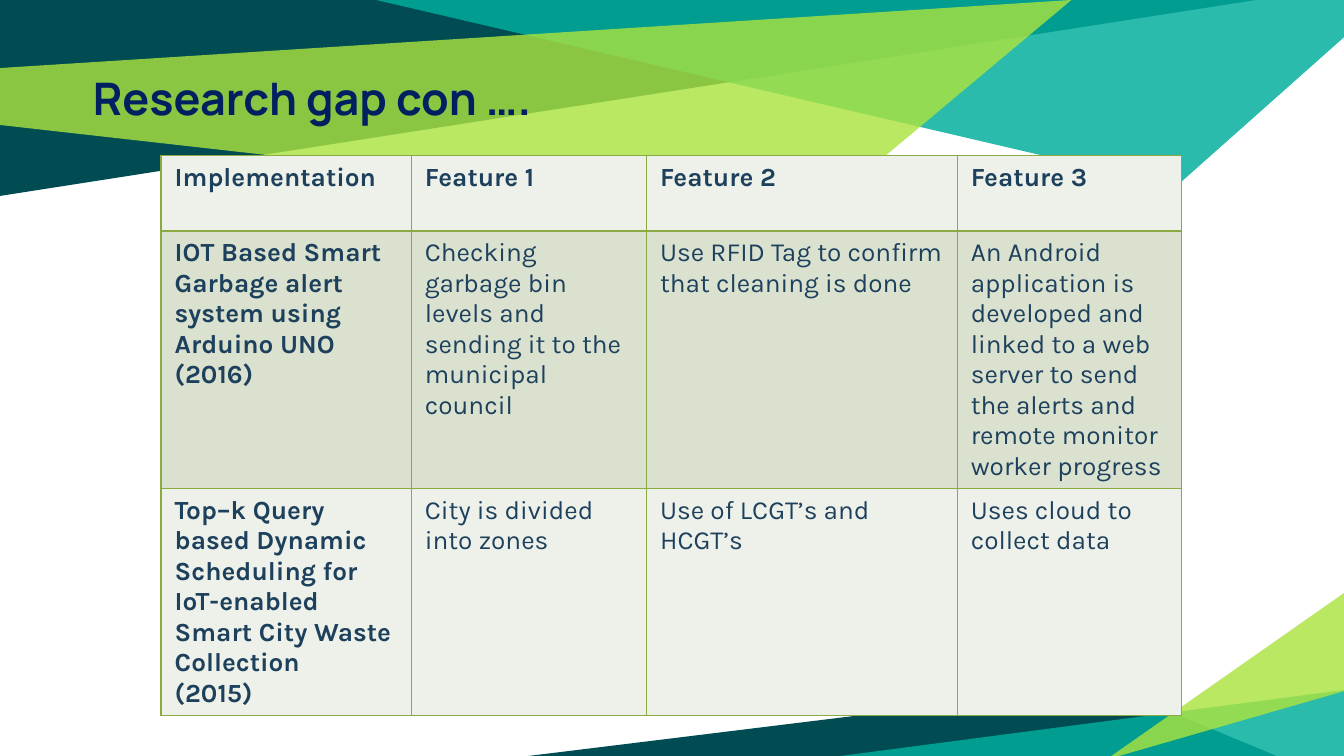
from lxml.etree import SubElement
from pptx import Presentation
from pptx.dml.color import RGBColor
from pptx.enum.text import MSO_ANCHOR, PP_ALIGN
from pptx.oxml.ns import qn
from pptx.util import Pt

DARK_TEAL, TEAL, LIME = "004C52", "00AE9D", "ABE33F"
BORDER, NAVY, TEXT = "8BAB42", "002060", "1D405D"
PALE, SAGE = "EEF1E9", "DAE2CF"

# Corner points, colour and opacity in percent, from back to front
BANDS = [
    ([(0, 0), (0, 105), (673, 0)], DARK_TEAL, 100),
    ([(201.5, 0), (630, 100), (720, 20), (720, 0)], TEAL, 83),
    ([(0, 36.5), (0, 67), (435.5, 116), (574, 0)], LIME, 81),
    ([(283, 405), (684, 405), (592.5, 367)], DARK_TEAL, 100),
    ([(721, 369.5), (721, 407), (435, 407)], TEAL, 83),
    ([(721, 370), (721, 317), (592.5, 407)], LIME, 81),
]

COLUMN_WIDTHS = [134, 126, 166.5, 120]
ROW_HEIGHTS = [40.5, 138, 121.5]
ROWS = [
    ["Implementation", "Feature 1", "Feature 2", "Feature 3"],
    [
        "IOT Based Smart Garbage alert system using Arduino UNO (2016)",
        "Checking garbage bin levels and sending it to the municipal council",
        "Use RFID Tag to confirm that cleaning is done",
        "An Android application is developed and linked to a web server "
        "to send the alerts and remote monitor worker progress",
    ],
    [
        "Top–k Query based Dynamic Scheduling for IoT-enabled "
        "Smart City Waste Collection\v(2015)",
        "City is divided into zones",
        "Use of LCGT’s and HCGT’s",
        "Uses cloud to collect data",
    ],
]


def color(value):
    return RGBColor.from_string(value)


def set_attributes(target, values):
    for name, value in values.items():
        setattr(target, name, value)


def format_font(font, name, size, font_color, bold):
    set_attributes(font, {"name": name, "size": Pt(size), "bold": bold})
    font.color.rgb = color(font_color)


def add_band(slide, points, fill_color, opacity):
    corners = [(Pt(x), Pt(y)) for x, y in points]
    builder = slide.shapes.build_freeform(*corners[0], scale=1.0)
    builder.add_line_segments(corners[1:], close=True)
    shape = builder.convert_to_shape()
    shape.shadow.inherit = False
    shape.line.fill.background()
    shape.fill.solid()
    shape.fill.fore_color.rgb = color(fill_color)
    if opacity < 100:
        fill = shape.element.spPr.find(qn("a:solidFill"))
        SubElement(fill[0], qn("a:alpha"), val=str(opacity * 1000))


def add_title(slide, text):
    title = slide.shapes.title
    set_attributes(title, {"left": Pt(42.5), "top": Pt(28),
                           "width": Pt(304), "height": Pt(49)})
    frame = title.text_frame
    frame.text = text
    margins = ("margin_left", "margin_right", "margin_top", "margin_bottom")
    set_attributes(frame, dict.fromkeys(margins, Pt(7.2)))
    set_attributes(frame, {"word_wrap": True,
                           "vertical_anchor": MSO_ANCHOR.MIDDLE})
    paragraph = frame.paragraphs[0]
    paragraph.alignment = PP_ALIGN.LEFT
    format_font(paragraph.font, "Manrope", 24, NAVY, True)
    # Bring the title in front of the bands
    title.element.getparent().append(title.element)


def set_borders(cell):
    properties = cell._tc.get_or_add_tcPr()
    for side in ("lnL", "lnR", "lnT", "lnB"):
        line = SubElement(properties, qn(f"a:{side}"), w=str(Pt(1)))
        fill = SubElement(line, qn("a:solidFill"))
        SubElement(fill, qn("a:srgbClr"), val=BORDER)


def format_cell(cell, text, fill_color, bold):
    set_borders(cell)
    cell.fill.solid()
    cell.fill.fore_color.rgb = color(fill_color)
    cell.text = text
    format_font(cell.text_frame.paragraphs[0].font, "Karla", 14, TEXT, bold)


def add_feature_table(slide):
    table = slide.shapes.add_table(
        len(ROWS), len(COLUMN_WIDTHS), Pt(86.4), Pt(83.3),
        Pt(sum(COLUMN_WIDTHS)), Pt(sum(ROW_HEIGHTS))).table
    set_attributes(table, {"first_row": False, "horz_banding": False})
    for column, width in zip(table.columns, COLUMN_WIDTHS):
        column.width = Pt(width)
    for i, (row, height) in enumerate(zip(table.rows, ROW_HEIGHTS)):
        row.height = Pt(height)
        for j, cell in enumerate(row.cells):
            # Header row and first column are bold
            format_cell(cell, ROWS[i][j], SAGE if i % 2 else PALE,
                        i == 0 or j == 0)


def main():
    presentation = Presentation()
    set_attributes(presentation, {"slide_width": Pt(720),
                                  "slide_height": Pt(405)})
    slide = presentation.slides.add_slide(presentation.slide_layouts[5])
    # Background bands
    for points, fill_color, opacity in BANDS:
        add_band(slide, points, fill_color, opacity)
    # Title and table
    add_title(slide, "Research gap con ….")
    add_feature_table(slide)
    presentation.save("out.pptx")


if __name__ == "__main__":
    main()
